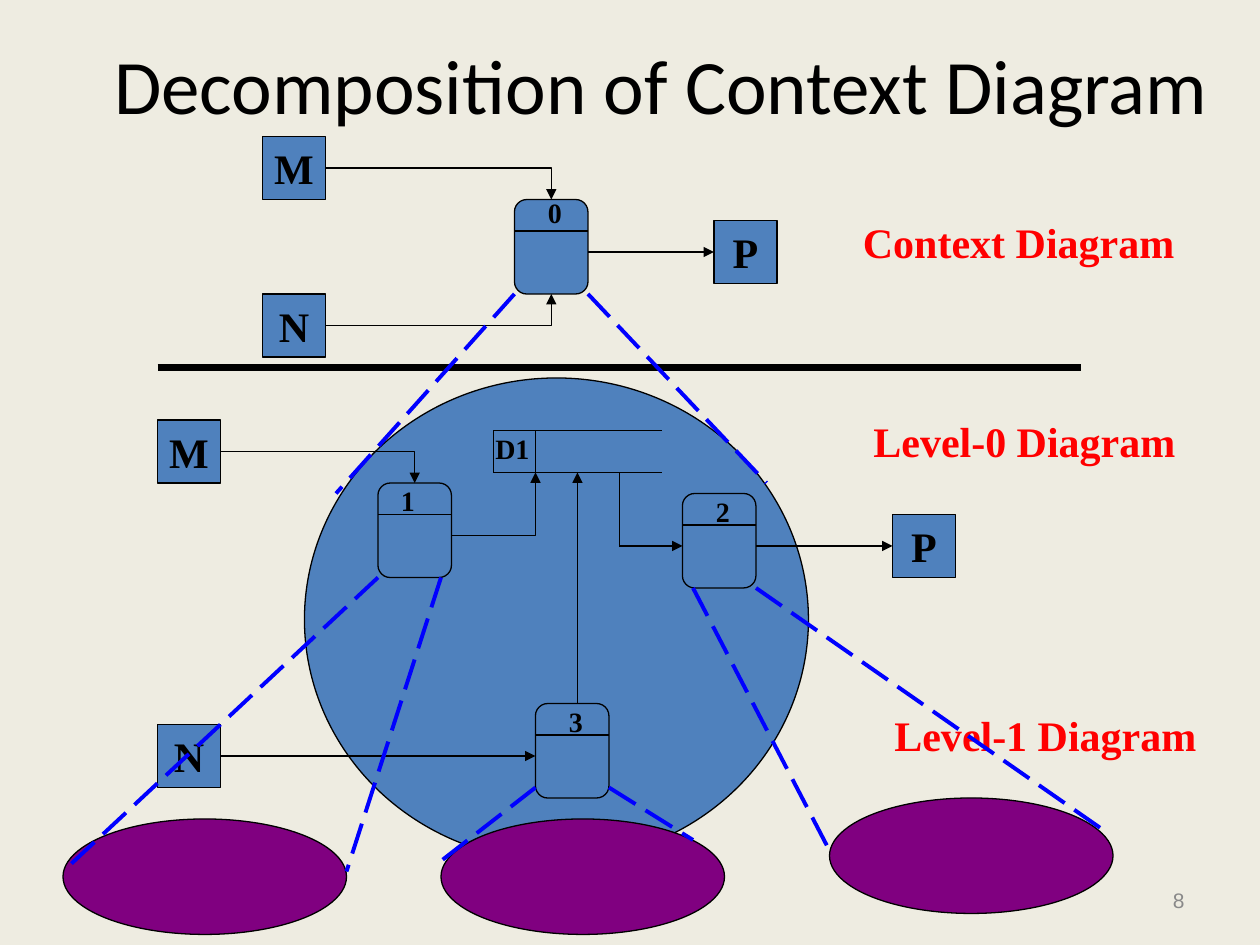
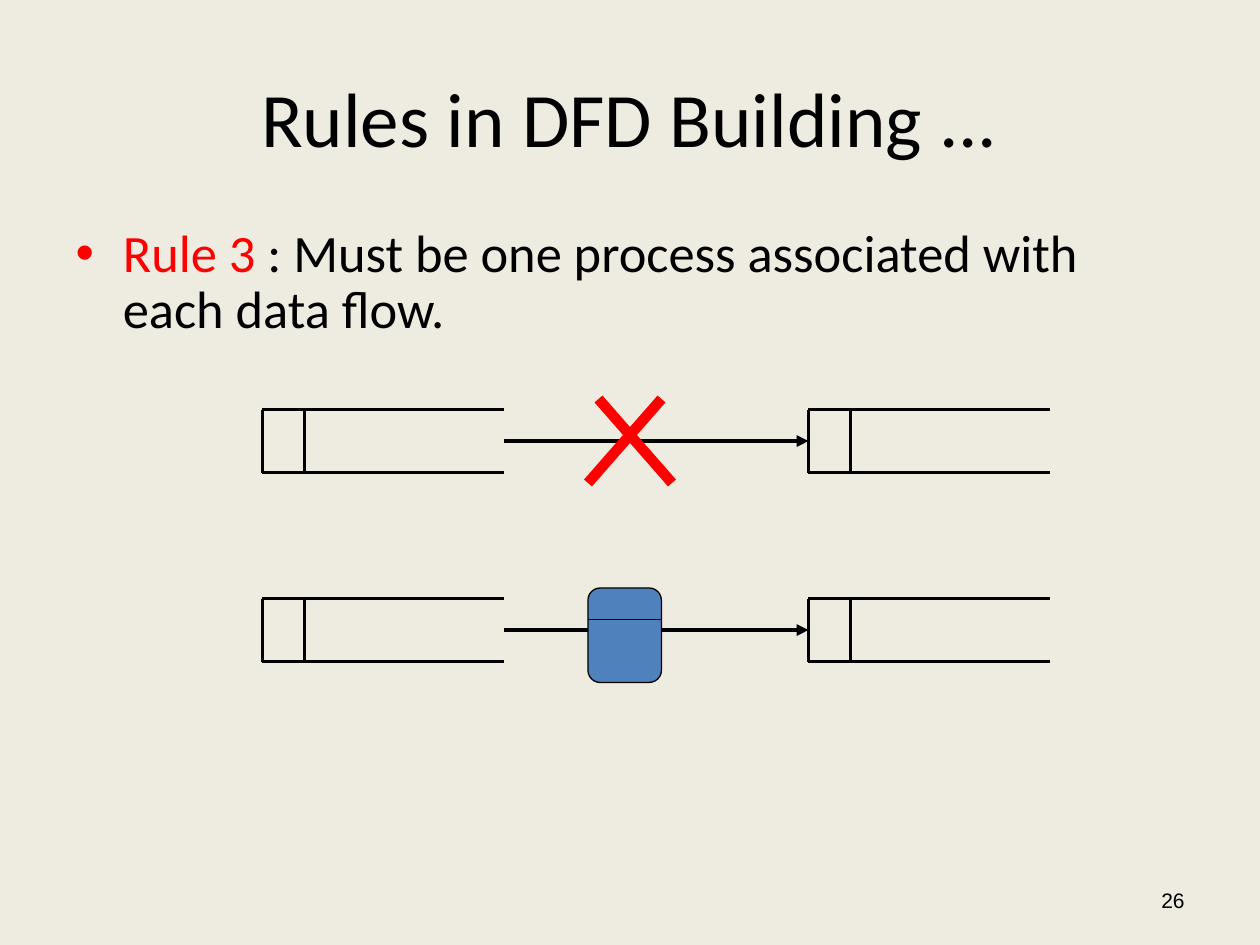
import pptx
import pptx.util
import pptx.dml.color
import pptx.enum.dml
import pptx.enum.shapes
import pptx.enum.text
import pptx.oxml
import pptx.oxml.ns
import lxml.etree

PX = 9525  # EMU per px, 96 px to the inch
COLORS = {
    "background": "EEECE1",
    "ink": "000000",
    "node": "4F81BD",
    "accent": "FF0000",
    "zoom": "0000FF",
    "detail": "800080",
    "muted": "898989",
}
HEADING_FONT = "Calibri"
LABEL_FONT = "Times New Roman"
NUMBER_FONT = "Arial"
THIN, MEDIUM = 0.75, 2.25
ENTITY_SIZE = 48
PROCESS_WIDTH, PROCESS_HEIGHT, PROCESS_HEADER = 56, 72, 24
STORE_KEY = 32  # width of the identifier cell of a data store

SHAPES = pptx.enum.shapes.MSO_SHAPE
ALIGN = pptx.enum.text.PP_ALIGN
ANCHOR = pptx.enum.text.MSO_ANCHOR


def px(*lengths):
    return [pptx.util.Emu(length * PX) for length in lengths]


def rgb(name):
    return pptx.dml.color.RGBColor.from_string(COLORS[name])


def add_xml(parent, tag, **attributes):
    return lxml.etree.SubElement(parent, pptx.oxml.ns.qn(tag), **attributes)


def add_run(paragraph, text, size, font, color="ink", bold=False):
    run = paragraph.add_run()
    run.text = text
    run.font.size = pptx.util.Pt(size)
    run.font.name = font
    run.font.bold = bold
    run.font.color.rgb = rgb(color)


# Text parts
def add_label(slide, box, text, size, font=LABEL_FONT, color="ink", bold=True,
              align=ALIGN.LEFT, anchor=ANCHOR.TOP):
    frame = slide.shapes.add_textbox(*px(*box)).text_frame
    frame.word_wrap = True
    frame.vertical_anchor = anchor
    paragraph = frame.paragraphs[0]
    paragraph.alignment = align
    add_run(paragraph, text, size, font, color, bold)


def place(placeholder, box, anchor):
    placeholder.left, placeholder.top, placeholder.width, placeholder.height = px(*box)
    frame = placeholder.text_frame
    frame.auto_size = pptx.enum.text.MSO_AUTO_SIZE.NONE
    frame.vertical_anchor = anchor
    return frame.paragraphs[0]


def add_slide(presentation, layout_index, title, title_box, number, number_color):
    slide = presentation.slides.add_slide(presentation.slide_layouts[layout_index])
    paragraph = place(slide.shapes.title, title_box, ANCHOR.MIDDLE)
    paragraph.alignment = ALIGN.CENTER
    add_run(paragraph, title, 44, HEADING_FONT)
    add_label(slide, (688, 667, 224, 38), number, 12, NUMBER_FONT, number_color,
              bold=False, align=ALIGN.RIGHT, anchor=ANCHOR.MIDDLE)
    return slide


def fill_rule(slide, name, statement):
    paragraph = place(slide.placeholders[1], (48, 168, 864, 98), ANCHOR.TOP)
    indent = 36 * PX
    properties = paragraph._p.get_or_add_pPr()
    properties.set("marL", str(indent))
    properties.set("indent", str(-indent))
    bullet_color = add_xml(properties, "a:buClr")
    add_xml(bullet_color, "a:srgbClr", val=COLORS["accent"])
    add_xml(properties, "a:buFont", typeface=NUMBER_FONT)
    add_xml(properties, "a:buChar", char="•")
    paragraph.line_spacing = 0.9
    paragraph.space_before = pptx.util.Pt(0)
    add_run(paragraph, name, 30, HEADING_FONT, "accent")
    add_run(paragraph, statement, 30, HEADING_FONT)


# Lines
def add_line(slide, start, end, weight=THIN, color="ink", arrow=False,
             dashed=False, bent=False):
    connector = slide.shapes.add_connector(
        pptx.enum.shapes.MSO_CONNECTOR.STRAIGHT, *px(*start, *end))
    properties = connector.element.spPr
    if bent:  # runs across first, then up or down
        geometry = properties.find(pptx.oxml.ns.qn("a:prstGeom"))
        geometry.set("prst", "bentConnector2")
    connector.line.width = pptx.util.Pt(weight)
    connector.line.color.rgb = rgb(color)
    if dashed:
        connector.line.dash_style = pptx.enum.dml.MSO_LINE.LONG_DASH
    if arrow:
        add_xml(connector.get_or_add_ln(), "a:tailEnd", type="triangle")
    add_xml(properties, "a:effectLst")


def add_zoom_lines(slide, lines):
    for start, end in lines:
        add_line(slide, start, end, MEDIUM, "zoom", dashed=True)


# Diagram symbols
def add_node(slide, kind, box, color="node"):
    shape = slide.shapes.add_shape(kind, *px(*box))
    shape.shadow.inherit = False
    shape.fill.solid()
    shape.fill.fore_color.rgb = rgb(color)
    shape.line.color.rgb = rgb("ink")
    shape.line.width = pptx.util.Pt(THIN)
    return shape


def add_entity(slide, name, left, top):
    shape = add_node(slide, SHAPES.RECTANGLE, (left, top, ENTITY_SIZE, ENTITY_SIZE))
    frame = shape.text_frame
    frame.word_wrap = False
    frame.vertical_anchor = ANCHOR.MIDDLE
    frame.paragraphs[0].alignment = ALIGN.CENTER
    add_run(frame.paragraphs[0], name, 24, LABEL_FONT, bold=True)


def add_process(slide, left, top, number=None, number_shift=16, number_rise=4):
    add_node(slide, SHAPES.ROUNDED_RECTANGLE,
             (left, top, PROCESS_WIDTH, PROCESS_HEIGHT))
    header_bottom = top + PROCESS_HEADER
    add_line(slide, (left, header_bottom), (left + PROCESS_WIDTH, header_bottom))
    if number:
        add_label(slide, (left + number_shift, top - number_rise, 36, 35), number, 16)


def add_store(slide, left, top, width, height, weight, name=None):
    bottom = top + height
    for y in (top, bottom):
        add_line(slide, (left, y), (left + width, y), weight)
    for x in (left, left + STORE_KEY):
        add_line(slide, (x, top), (x, bottom), weight)
    if name:
        add_label(slide, (left - 8, top - 4, 48, 35), name, 16)


def build_decomposition(presentation):
    slide = add_slide(presentation, 5, "Decomposition of Context Diagram",
                      (56, 16, 896, 96), "8", "muted")

    # Context diagram
    add_process(slide, 392, 152, "0", number_rise=8)
    for name, left, top in (("M", 200, 104), ("N", 200, 224), ("P", 544, 168)):
        add_entity(slide, name, left, top)
    add_line(slide, (248, 128), (420, 152), arrow=True, bent=True)
    add_line(slide, (248, 248), (420, 224), arrow=True, bent=True)
    add_line(slide, (448, 192), (544, 192), arrow=True)
    add_line(slide, (120, 280), (824, 280), 4.5)

    # Level-0 diagram
    add_node(slide, SHAPES.OVAL, (232, 288, 384, 368))
    add_process(slide, 288, 368, "1", number_shift=8)
    add_process(slide, 520, 376, "2")
    add_process(slide, 408, 536, "3")
    for name, left, top in (("M", 120, 320), ("N", 120, 552), ("P", 680, 392)):
        add_entity(slide, name, left, top)
    add_store(slide, 376, 328, 128, 32, THIN, "D1")
    add_line(slide, (168, 344), (316, 368), arrow=True, bent=True)
    add_line(slide, (344, 408), (408, 360), arrow=True, bent=True)
    add_line(slide, (472, 360), (472, 416))
    for start, end in (((472, 416), (520, 416)), ((576, 416), (680, 416)),
                       ((168, 576), (408, 576)), ((440, 536), (440, 360))):
        add_line(slide, start, end, arrow=True)

    # Level names
    for text, left, top in (("Context Diagram", 648, 160),
                            ("Level-0 Diagram", 656, 312),
                            ("Level-1 Diagram", 672, 536)):
        add_label(slide, (left, top, 272, 48), text, 24, color="accent")

    # Level-1 details and the zoom lines that lead to each level
    add_zoom_lines(slide, (((392, 224), (256, 376)), ((448, 224), (584, 368))))
    for left, top in ((48, 624), (336, 624), (632, 608)):
        add_node(slide, SHAPES.OVAL, (left, top, 216, 88), "detail")
    add_zoom_lines(slide, (
        ((288, 440), (48, 664)), ((336, 440), (264, 664)),
        ((408, 600), (336, 656)), ((464, 600), (528, 640)),
        ((576, 448), (840, 632)), ((528, 448), (632, 648)),
    ))


def build_rule(presentation):
    slide = add_slide(presentation, 1, "Rules in DFD Building ...",
                      (48, 29, 864, 120), "26", "ink")
    fill_rule(slide, "Rule 3", " : Must be one process associated with each data flow.")

    # Store-to-store flows: wrong above, right below
    for top in (312, 456):
        for left in (200, 616):
            add_store(slide, left, top, 184, 48, MEDIUM)
        add_line(slide, (384, top + 24), (616, top + 24), MEDIUM, arrow=True)
    add_line(slide, (504, 304), (448, 368), 6, "accent")
    add_line(slide, (456, 304), (512, 368), 6, "accent")
    add_process(slide, 448, 448)


def main():
    presentation = pptx.Presentation()
    presentation.slide_width, presentation.slide_height = px(960, 720)
    background = presentation.slide_master.background.fill
    background.solid()
    background.fore_color.rgb = rgb("background")
    build_decomposition(presentation)
    build_rule(presentation)
    presentation.save("out.pptx")


if __name__ == "__main__":
    main()
